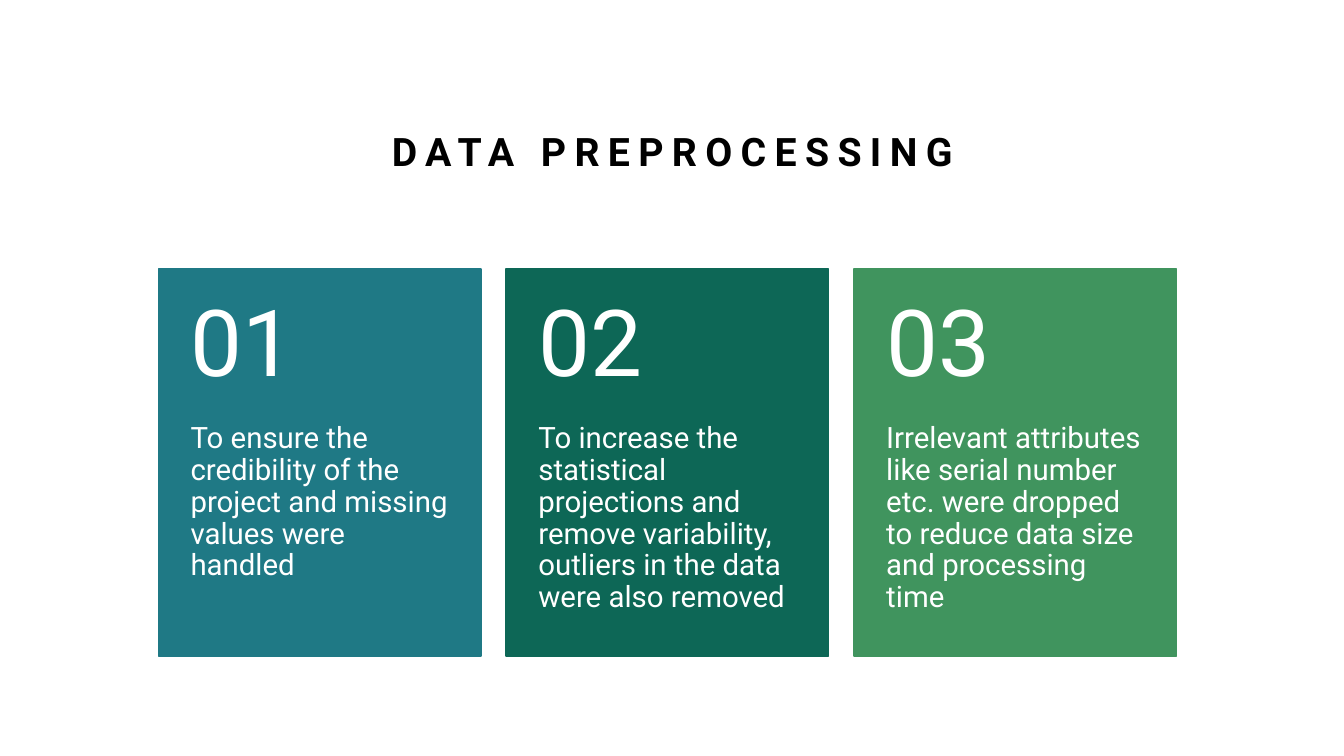
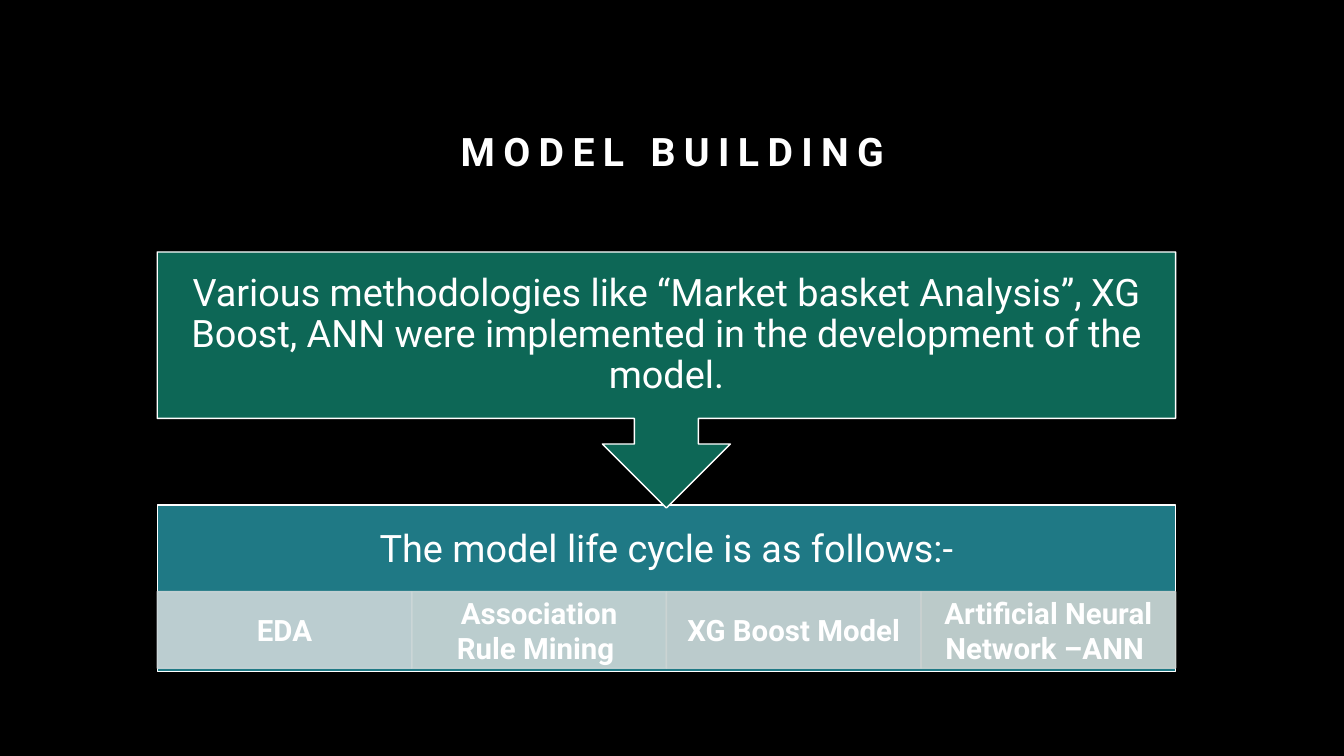
from dataclasses import dataclass

from lxml import etree
from pptx import Presentation
from pptx.dml.color import RGBColor
from pptx.enum import shapes, text
from pptx.oxml import ns
from pptx.util import Inches, Pt

LEFT, CENTER = text.PP_ALIGN.LEFT, text.PP_ALIGN.CENTER
TOP, MIDDLE, BOTTOM = (text.MSO_ANCHOR.TOP, text.MSO_ANCHOR.MIDDLE,
                       text.MSO_ANCHOR.BOTTOM)
RECT = shapes.MSO_SHAPE.RECTANGLE
CALLOUT = shapes.MSO_SHAPE.DOWN_ARROW_CALLOUT


@dataclass(frozen=True)
class Theme:
    font: str = "Roboto"
    black: str = "000000"
    white: str = "FFFFFF"
    teal: str = "1F7985"
    pine: str = "0D6756"
    green: str = "40945E"
    steps: tuple = ("CDD7D9", "CCD7D7", "CCD5D4", "CCD3D1")
    step_alpha: int = 90
    title: int = 28
    number: int = 66
    lead: int = 27
    body: int = 21
    line: int = 1


THEME = Theme()


def write(tf, words, size, color=THEME.white, bold=False, align=LEFT,
          anchor=TOP, spacing=0.9, tracking=0, insets=(0, 0, 0, 0)):
    tf.word_wrap = True
    tf.vertical_anchor = anchor
    (tf.margin_left, tf.margin_top,
     tf.margin_right, tf.margin_bottom) = map(Inches, insets)
    p = tf.paragraphs[0]
    p.alignment = align
    p.line_spacing = spacing
    r = p.add_run()
    r.text = words
    r.font.name = THEME.font
    r.font.size = Pt(size)
    r.font.bold = bold
    r.font.color.rgb = RGBColor.from_string(color)
    if tracking:
        r.font._element.set("spc", str(tracking * 100))


class Deck:
    def __init__(self, theme):
        self.theme = theme
        self.prs = Presentation()
        self.prs.slide_width = Inches(13.33)
        self.prs.slide_height = Inches(7.5)
        self.s = None

    def slide(self, title, background, color):
        self.s = self.prs.slides.add_slide(self.prs.slide_layouts[6])
        fill = self.s.background.fill
        fill.solid()
        fill.fore_color.rgb = RGBColor.from_string(background)
        self.label((1.67, 0.83, 10, 0.95), title, self.theme.title,
                   color=color, bold=True, align=CENTER, anchor=BOTTOM,
                   spacing=1.2, tracking=6, insets=(0.1, 0.05, 0.1, 0.05))

    def label(self, box, words, size, **style):
        sp = self.s.shapes.add_textbox(*map(Inches, box))
        write(sp.text_frame, words, size, **style)

    def block(self, box, fill, line=None, kind=RECT, alpha=100):
        sp = self.s.shapes.add_shape(kind, *map(Inches, box))
        sp.shadow.inherit = False
        sp.fill.solid()
        sp.fill.fore_color.rgb = RGBColor.from_string(fill)
        sp.line.color.rgb = RGBColor.from_string(line or fill)
        sp.line.width = Pt(self.theme.line)
        if alpha < 100:
            for color in sp._element.spPr.iter(ns.qn("a:srgbClr")):
                etree.SubElement(color, ns.qn("a:alpha"),
                                 val=str(alpha * 1000))
        return sp

    def card(self, left, top, number, words, fill):
        width, height, head = 3.2, 3.84, 1.53
        self.block((left, top, width, height), fill)
        self.label((left, top + head, width, height - head), words,
                   self.theme.body, insets=(0.32, 0, 0.32, 0.36))
        self.label((left, top, width, head), number, self.theme.number,
                   anchor=MIDDLE, insets=(0.32, 0.18, 0.32, 0.18))

    def lead(self, box, words):
        self.label(box, words, self.theme.lead, align=CENTER, anchor=MIDDLE,
                   insets=(0.21,) * 4)

    def step(self, box, words, fill):
        sp = self.block(box, fill, alpha=self.theme.step_alpha)
        write(sp.text_frame, words, self.theme.body, bold=True, align=CENTER,
              anchor=MIDDLE, spacing=1, insets=(0.16, 0.03, 0.16, 0.03))


def preprocessing(deck):
    t = deck.theme
    deck.slide("DATA PREPROCESSING", t.white, t.black)
    cards = (
        ("To ensure the credibility of the project and missing values "
         "were handled", t.teal),
        ("To increase the statistical projections and remove variability, "
         "outliers in the data were also removed", t.pine),
        ("Irrelevant attributes like serial number etc. were dropped to "
         "reduce data size and processing time", t.green),
    )
    for i, (words, fill) in enumerate(cards):
        deck.card(1.57 + i * 3.45, 2.67, f"{i + 1:02}", words, fill)


def model_building(deck):
    t = deck.theme
    left, width = 1.56, 10.1
    deck.slide("MODEL BUILDING", t.black, t.white)
    deck.block((left, 5.01, width, 1.65), t.teal, t.white)
    deck.lead((left, 5.01, width, 0.89), "The model life cycle is as follows:-")
    steps = ("EDA", "Association Rule Mining ", "XG Boost Model",
             "Artificial Neural Network –ANN ")
    step_width = width / len(steps)
    for i, (words, fill) in enumerate(zip(steps, t.steps)):
        deck.step((left + i * step_width, 5.87, step_width, 0.76), words, fill)
    deck.block((left, 2.5, width, 2.54), t.pine, t.white, CALLOUT)
    deck.lead((left, 2.5, width, 1.65),
              "Various methodologies like “Market basket Analysis”, XG Boost, "
              "ANN were implemented in the development of the model.")


def main():
    deck = Deck(THEME)
    preprocessing(deck)
    model_building(deck)
    deck.prs.save("out.pptx")


if __name__ == "__main__":
    main()
